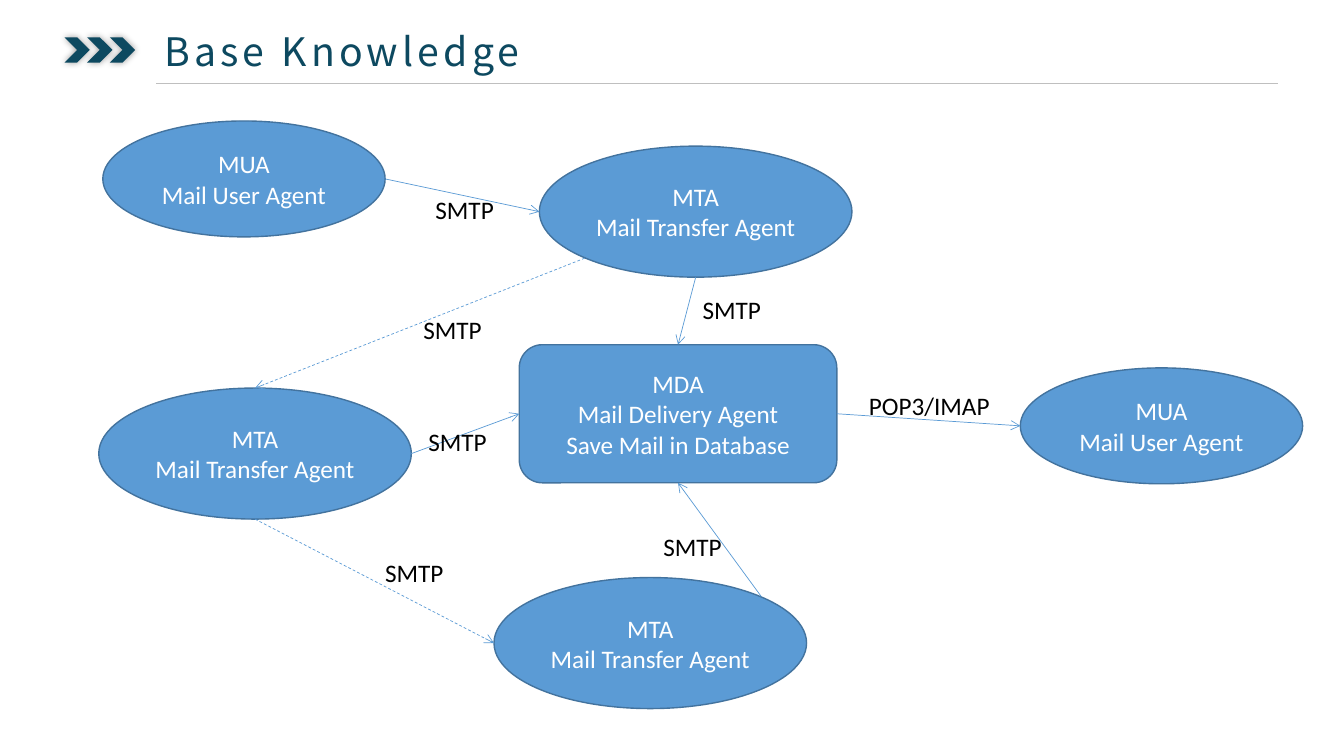
import pptx
import pptx.util
import pptx.dml.color
import pptx.enum.dml
import pptx.enum.shapes
import pptx.enum.text
import pptx.oxml
import pptx.oxml.ns

Inches, Pt = pptx.util.Inches, pptx.util.Pt
SHAPE = pptx.enum.shapes.MSO_SHAPE
ALIGN = pptx.enum.text.PP_ALIGN
ANCHOR = pptx.enum.text.MSO_ANCHOR
NS = pptx.oxml.ns.nsdecls("a")

# Points on a shape's outline, as fractions of its half width and half height
TOP, LEFT, BOTTOM, RIGHT = (0, -1), (-1, 0), (0, 1), (1, 0)
BOTTOM_LEFT, TOP_RIGHT = (-0.71, 0.71), (0.71, -0.71)


def rgb(color):
    return pptx.dml.color.RGBColor.from_string(color)


def apply(target, values):
    for name, value in values.items():
        setattr(target, name, value)


class Diagram:
    accent, fill, outline, rule = "0D4960", "5B9BD5", "43739E", "BFBFBF"
    body = {"name": "Calibri", "size": Pt(18)}
    heading = {"name": "Noto Sans CJK JP", "size": Pt(28)}

    def __init__(self, slide):
        self.shapes = slide.shapes

    def add_lines(self, tf, lines, font, color, align=ALIGN.LEFT):
        for i, line in enumerate(lines):
            p = tf.add_paragraph() if i else tf.paragraphs[0]
            p.alignment = align
            r = p.add_run()
            r.text = line
            apply(r.font, font)
            r.font.color.rgb = rgb(color)

    def chevron(self, x, y, size):
        sp = self.shapes.add_shape(SHAPE.CHEVRON, *map(Inches, (x, y, size, size)))
        sp.fill.solid()
        sp.fill.fore_color.rgb = rgb(self.accent)
        sp.line.fill.background()
        sp._element.spPr.append(pptx.oxml.parse_xml(
            f'<a:effectLst {NS}><a:outerShdw blurRad="{Pt(5)}" dist="0" dir="0">'
            '<a:srgbClr val="000000"><a:alpha val="40000"/></a:srgbClr>'
            '</a:outerShdw></a:effectLst>'))

    def title(self, text, x, y, w, h):
        sp = self.shapes.add_textbox(*map(Inches, (x, y, w, h)))
        tf = sp.text_frame
        apply(tf, {"word_wrap": True,
                   "margin_left": Inches(0.08), "margin_right": Inches(0.08),
                   "margin_top": Inches(0.04), "margin_bottom": Inches(0.04)})
        self.add_lines(tf, [text], self.heading, self.accent)
        tf.paragraphs[0].runs[0].font._element.set("spc", "300")

    def node(self, kind, lines, x, y, w, h):
        sp = self.shapes.add_shape(kind, *map(Inches, (x, y, w, h)))
        sp.shadow.inherit = False
        sp.fill.solid()
        sp.fill.fore_color.rgb = rgb(self.fill)
        sp.line.color.rgb = rgb(self.outline)
        sp.line.width = Pt(1)
        apply(sp.text_frame, {"word_wrap": True, "vertical_anchor": ANCHOR.MIDDLE})
        self.add_lines(sp.text_frame, lines, self.body, "FFFFFF", ALIGN.CENTER)
        return sp

    def line(self, start, end, color):
        cx = self.shapes.add_connector(
            pptx.enum.shapes.MSO_CONNECTOR.STRAIGHT, *start, *end)
        cx.line.color.rgb = rgb(color)
        cx.line.width = Pt(0.5)
        cx._element.spPr.append(pptx.oxml.parse_xml(f"<a:effectLst {NS}/>"))
        return cx

    def arrow(self, source, start, target, end, dashed=False):
        points = [(int(sp.left + sp.width * (1 + dx) / 2),
                   int(sp.top + sp.height * (1 + dy) / 2))
                  for sp, (dx, dy) in ((source, start), (target, end))]
        cx = self.line(*points, self.fill)
        if dashed:
            cx.line.dash_style = pptx.enum.dml.MSO_LINE.DASH
        cx.line._get_or_add_ln().append(
            pptx.oxml.parse_xml(f'<a:tailEnd {NS} type="arrow"/>'))

    def label(self, text, x, y, w=0.79):
        sp = self.shapes.add_textbox(*map(Inches, (x, y, w, 0.4)))
        sp.text_frame.word_wrap = False
        self.add_lines(sp.text_frame, [text], self.body, "000000")


def main():
    prs = pptx.Presentation()
    apply(prs, {"slide_width": Inches(13.33), "slide_height": Inches(7.5)})
    d = Diagram(prs.slides.add_slide(prs.slide_layouts[6]))

    # Header
    for i in range(3):
        d.chevron(0.64 + i * 0.225, 0.37, 0.25)
    d.title("Base Knowledge", 1.55, 0.23, 5.8, 0.55)
    d.line((Inches(1.55), Inches(0.83)), (Inches(12.68), Inches(0.83)), d.rule)

    # Mail agents
    mua, mta = ["MUA", "Mail User Agent"], ["MTA", "Mail Transfer Agent"]
    sender, receiver = [d.node(SHAPE.OVAL, mua, x, y, 2.8, 1.15)
                        for x, y in ((1.02, 1.2), (10.12, 3.65))]
    first, second, third = [d.node(SHAPE.OVAL, mta, x, y, 3.1, 1.3)
                            for x, y in ((5.35, 1.45), (0.98, 3.85), (4.9, 5.73))]
    mda = d.node(SHAPE.ROUNDED_RECTANGLE,
                 ["MDA", "Mail Delivery Agent", "Save Mail in Database"],
                 5.15, 3.42, 3.15, 1.37)

    # Mail flow
    d.arrow(sender, RIGHT, first, LEFT)
    d.arrow(first, BOTTOM_LEFT, second, TOP, dashed=True)
    d.arrow(second, BOTTOM, third, LEFT, dashed=True)
    d.arrow(first, BOTTOM, mda, TOP)
    d.arrow(second, RIGHT, mda, LEFT)
    d.arrow(third, TOP_RIGHT, mda, BOTTOM)
    d.arrow(mda, RIGHT, receiver, LEFT)

    # Protocols
    for x, y in ((4.22, 1.88), (4.1, 3.07), (6.87, 2.87),
                 (3.72, 5.48), (6.48, 5.22), (4.15, 4.18)):
        d.label("SMTP", x, y)
    d.label("POP3/IMAP", 8.52, 3.82, 1.41)

    prs.save("out.pptx")


if __name__ == "__main__":
    main()
